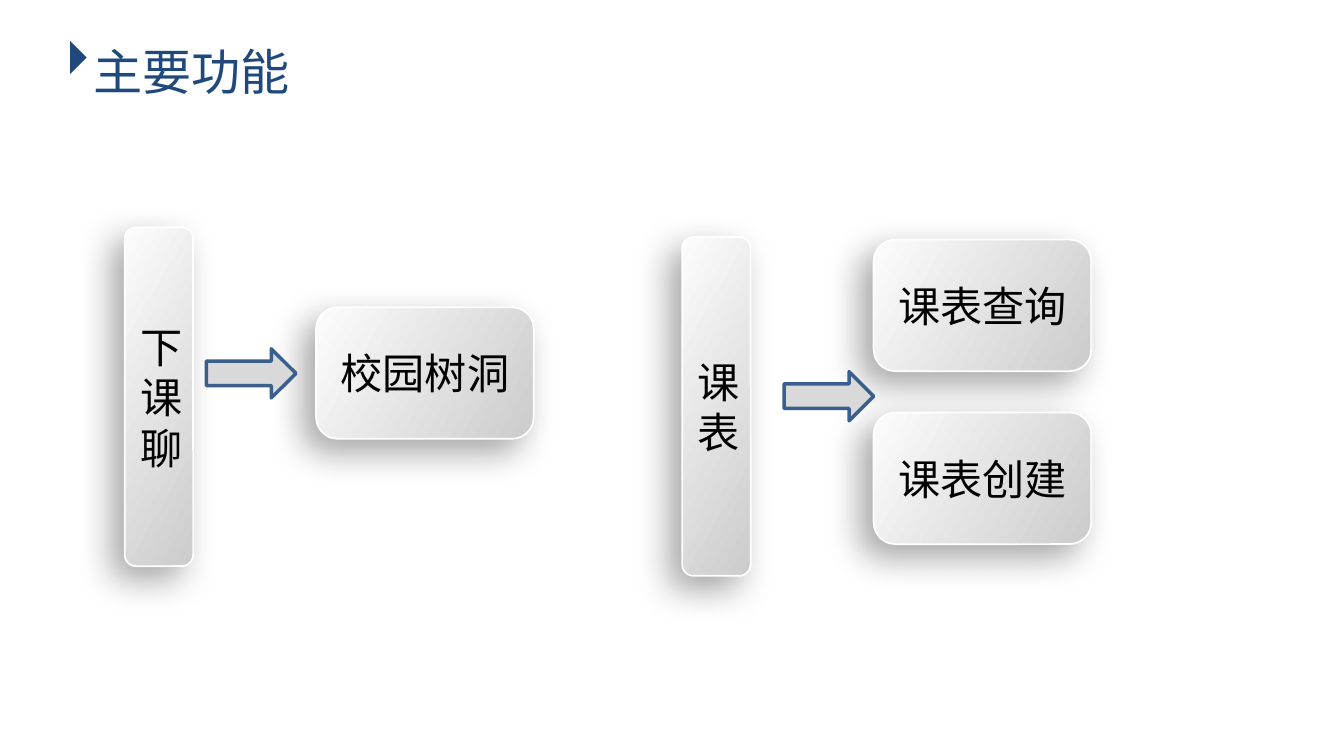
from lxml.etree import SubElement
from pptx import Presentation
from pptx.dml.color import RGBColor
from pptx.enum.shapes import MSO_SHAPE as Shape
from pptx.enum.text import MSO_ANCHOR as Anchor, PP_ALIGN as Align
from pptx.oxml.ns import qn
from pptx.util import Pt

NAVY = RGBColor(0x1F, 0x49, 0x7D)
STEEL = RGBColor(0x3A, 0x5F, 0x8C)
GREY = RGBColor(0xD9, 0xD9, 0xD9)
PALE = RGBColor(0xFC, 0xFC, 0xFC)
SILVER = RGBColor(0xCC, 0xCC, 0xCC)
WHITE = RGBColor(0xFF, 0xFF, 0xFF)
BLACK = RGBColor(0, 0, 0)

BAR_SIZE = (39, 193)
CARD_SIZE = (124, 75)
ARROW_SIZE = (51, 28)


def write_text(shape, text, *, font, size, color, align, wrap=True):
    frame = shape.text_frame
    frame.word_wrap = wrap
    frame.vertical_anchor = Anchor.MIDDLE
    paragraph = frame.paragraphs[0]
    paragraph.alignment = align
    run = paragraph.add_run()
    run.text = text
    run.font.name = font
    run.font.size = Pt(size)
    run.font.color.rgb = color


def cast_shadow(shape):
    """Give the shape a soft shadow towards the lower left."""
    shape.shadow.inherit = False
    effects = shape._element.spPr.find(qn("a:effectLst"))
    shadow = SubElement(effects, qn("a:outerShdw"), blurRad=str(Pt(20)),
                        dist=str(Pt(10)), dir=str(136 * 60000),
                        algn="ctr", rotWithShape="0")
    color = SubElement(shadow, qn("a:srgbClr"), val=str(BLACK))
    SubElement(color, qn("a:alpha"), val="34000")


presentation = Presentation()
presentation.slide_width = Pt(765.36)
presentation.slide_height = Pt(425.52)
slide = presentation.slides.add_slide(presentation.slide_layouts[5])
shapes = slide.shapes

# Title and its marker
title = shapes.title
title.left, title.top, title.width, title.height = Pt(46), Pt(20), Pt(127.5), Pt(41)
write_text(title, "主要功能", font="Arial", size=28, color=NAVY,
           align=Align.LEFT, wrap=False)

marker = shapes.add_shape(Shape.ISOSCELES_TRIANGLE, Pt(35.3), Pt(28.1), Pt(18.7), Pt(9.4))
marker.rotation = 90
marker.shadow.inherit = False
marker.fill.solid()
marker.fill.fore_color.rgb = NAVY
marker.line.fill.background()

# Module bars and the feature cards they lead to
boxes = [
    ("下课聊", 71, 129.5, BAR_SIZE),
    ("课表", 388.5, 135, BAR_SIZE),
    ("校园树洞", 180, 175, CARD_SIZE),
    ("课表查询", 497.5, 136.5, CARD_SIZE),
    ("课表创建", 497.5, 235, CARD_SIZE),
]
for label, left, top, (width, height) in boxes:
    box = shapes.add_shape(Shape.ROUNDED_RECTANGLE, Pt(left), Pt(top), Pt(width), Pt(height))
    box.fill.gradient()
    box.fill.gradient_angle = 330
    for stop, color in zip(box.fill.gradient_stops, (PALE, SILVER)):
        stop.color.rgb = color
    box.line.color.rgb = WHITE
    box.line.width = Pt(1)
    cast_shadow(box)
    write_text(box, label, font="Calibri", size=24, color=BLACK, align=Align.CENTER)

# Arrows from module to features
for left, top in [(117.5, 198.7), (446.5, 211.7)]:
    arrow = shapes.add_shape(Shape.RIGHT_ARROW, Pt(left), Pt(top), *map(Pt, ARROW_SIZE))
    arrow.shadow.inherit = False
    arrow.fill.solid()
    arrow.fill.fore_color.rgb = GREY
    arrow.line.color.rgb = STEEL
    arrow.line.width = Pt(2)

presentation.save("out.pptx")
